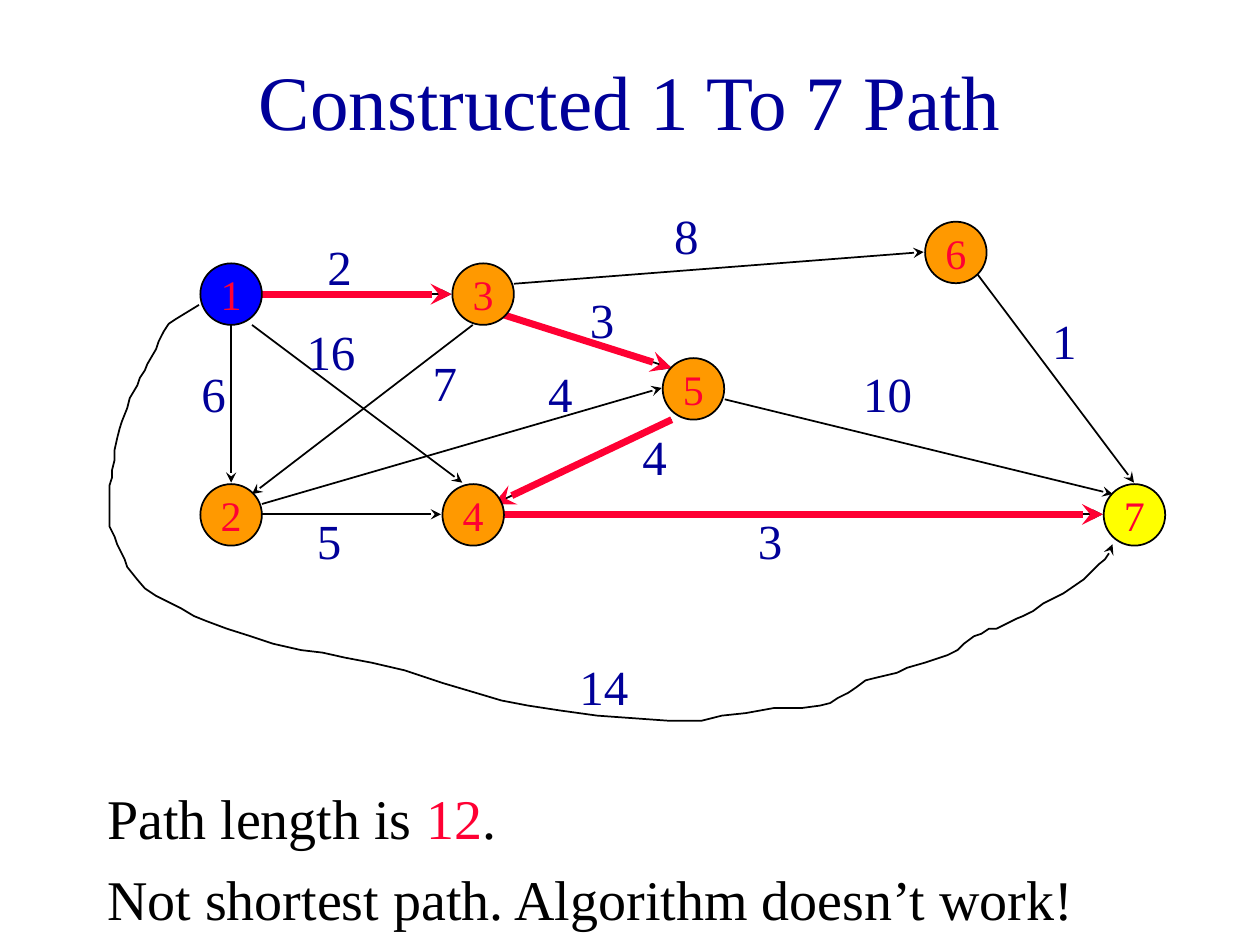
from lxml import etree
from pptx import Presentation, util as u
from pptx.dml.color import RGBColor
from pptx.enum import shapes, text
from pptx.oxml.ns import qn

NAVY = RGBColor(0x00, 0x00, 0x99)
RED = RGBColor(0xFF, 0x00, 0x33)
BLUE = RGBColor(0x00, 0x00, 0xFF)
ORANGE = RGBColor(0xFF, 0x99, 0x00)
YELLOW = RGBColor(0xFF, 0xFF, 0x00)
BLACK = RGBColor(0x00, 0x00, 0x00)
FACE = "Times New Roman"

deck = Presentation()
deck.slide_width, deck.slide_height = u.Cm(25.4), u.Cm(19.05)
slide = deck.slides.add_slide(deck.slide_layouts[6])
items = slide.shapes


def write(x, y, w, h, words, size, color):
    """Add a wrapping text box, one paragraph per entry of words."""
    frame = items.add_textbox(u.Cm(x), u.Cm(y), u.Cm(w), u.Cm(h)).text_frame
    frame.word_wrap = True
    frame.text = "\n".join(words)
    for para in frame.paragraphs:
        para.font.name, para.font.size = FACE, u.Pt(size)
        para.font.color.rgb = color
    return frame


def arrow(shape, color, width):
    """Style a line or outline and give its end a stealth head."""
    shape.line.color.rgb = color
    shape.line.width = u.Pt(width)
    props = shape.element.spPr
    etree.SubElement(props.find(qn("a:ln")), qn("a:tailEnd"), type="stealth")
    etree.SubElement(props, qn("a:effectLst"))


# Title
frame = write(1.91, 0.42, 21.59, 3.18, ["Constructed 1 To 7 Path"], 44, NAVY)
frame.vertical_anchor = text.MSO_ANCHOR.MIDDLE
frame.paragraphs[0].alignment = text.PP_ALIGN.CENTER

# Edges: start, end, on the constructed path
edges = [
    (19.69, 5.51, 22.86, 9.73, False),
    (10.36, 5.72, 18.62, 5.08, False),
    (5.28, 5.93, 9.1, 5.93, True),
    (4.66, 6.55, 4.66, 9.73, False),
    (5.28, 10.37, 8.89, 10.37, False),
    (5.08, 6.55, 9.32, 9.73, False),
    (9.53, 6.55, 5.08, 9.96, False),
    (10.16, 6.35, 13.54, 7.42, True),
    (5.28, 10.16, 13.34, 7.82, False),
    (13.54, 8.46, 9.96, 10.16, True),
    (10.16, 10.37, 22.23, 10.37, True),
    (14.61, 8.05, 22.43, 9.96, False),
]
for *ends, chosen in edges:
    styles = [(BLACK, 1), (RED, 4)] if chosen else [(BLACK, 1)]
    for color, width in styles:
        edge = items.add_connector(shapes.MSO_CONNECTOR.STRAIGHT, *map(u.Cm, ends))
        arrow(edge, color, width)

# Long curved edge from 1 to 7, in hundredths of 2.54 cm
curve = [
    (158, 242), (140, 253), (134, 257), (130, 263), (126, 271), (124, 277),
    (117, 289), (115, 294), (111, 300), (109, 306), (103, 316), (101, 324),
    (97, 334), (95, 340), (93, 348), (91, 357), (91, 365), (89, 373),
    (89, 379), (87, 385), (87, 418), (91, 426), (93, 432), (99, 444),
    (101, 450), (109, 460), (115, 467), (124, 473), (144, 483), (154, 489),
    (164, 493), (180, 499), (199, 505), (217, 511), (239, 516), (256, 518),
    (274, 522), (295, 526), (321, 532), (351, 542), (378, 550), (398, 556),
    (419, 560), (445, 564), (474, 568), (530, 572), (557, 572), (573, 568),
    (592, 566), (614, 562), (636, 562), (651, 560), (659, 558), (665, 554),
    (673, 550), (679, 546), (687, 540), (695, 538), (712, 534), (720, 530),
    (734, 526), (752, 520), (760, 516), (765, 511), (773, 505), (779, 503),
    (785, 499), (791, 499), (807, 491), (812, 489), (820, 485), (828, 479),
    (844, 471), (860, 460), (872, 448), (877, 444), (881, 438), (883, 432),
]
pen = items.build_freeform(*curve[0], scale=u.Cm(2.54) / 100)
pen.add_line_segments(curve[1:], close=False)
arc = pen.convert_to_shape()
arc.fill.background()
arrow(arc, BLACK, 1)

# Nodes, placed by centre
SIZE = 1.24
nodes = [
    (4.66, 5.93, BLUE), (4.66, 10.38, ORANGE), (9.74, 5.93, ORANGE),
    (9.54, 10.38, ORANGE), (13.98, 7.84, ORANGE), (19.27, 5.09, ORANGE),
    (22.87, 10.38, YELLOW),
]
for num, (x, y, color) in enumerate(nodes, 1):
    node = items.add_shape(shapes.MSO_SHAPE.OVAL, u.Cm(x - SIZE / 2),
                           u.Cm(y - SIZE / 2), u.Cm(SIZE), u.Cm(SIZE))
    node.shadow.inherit = False
    node.fill.solid()
    node.fill.fore_color.rgb = color
    node.line.color.rgb = BLACK
    node.line.width = u.Pt(1)
    frame = node.text_frame
    frame.margin_left = frame.margin_right = 0
    frame.margin_top = frame.margin_bottom = 0
    frame.word_wrap = False
    frame.vertical_anchor = text.MSO_ANCHOR.MIDDLE
    para = frame.paragraphs[0]
    para.text = str(num)
    para.alignment = text.PP_ALIGN.CENTER
    para.font.name, para.font.size = FACE, u.Pt(24)
    para.font.color.rgb = RED

# Edge lengths
costs = [
    (6.35, 4.65, 2), (3.81, 7.2, 6), (5.93, 6.35, 16), (8.47, 6.99, 7),
    (13.34, 4.02, 8), (17.15, 7.2, 10), (11.64, 5.72, 3), (11.43, 13.12, 14),
    (10.8, 7.2, 4), (12.7, 8.47, 4), (6.14, 10.16, 5), (15.03, 10.16, 3),
    (20.96, 6.14, 1),
]
for x, y, cost in costs:
    write(x, y, 1.7 if cost > 9 else 1.07, 1.45, [str(cost)], 28, NAVY)

# Conclusion
notes = ["Path length is ", "Not shortest path. Algorithm doesn’t work!"]
first, last = write(1.91, 15.67, 21.59, 3.18, notes, 32, BLACK).paragraphs
for part, color in [("12", RED), (".", BLACK)]:
    run = first.add_run()
    run.text = part
    run.font.color.rgb = color
    run.font.name, run.font.size = FACE, u.Pt(32)
last.space_before = u.Pt(8)

deck.save("out.pptx")
